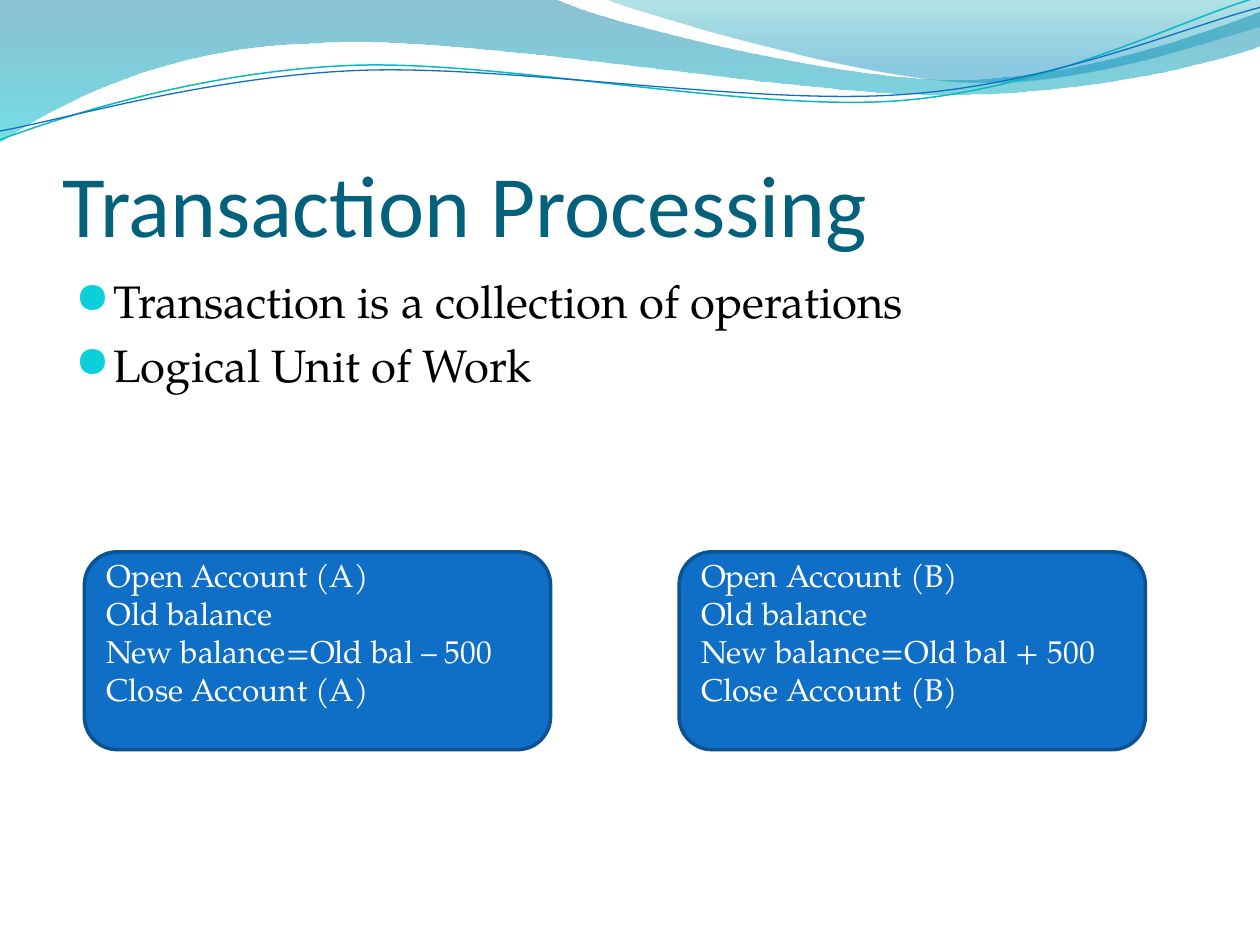
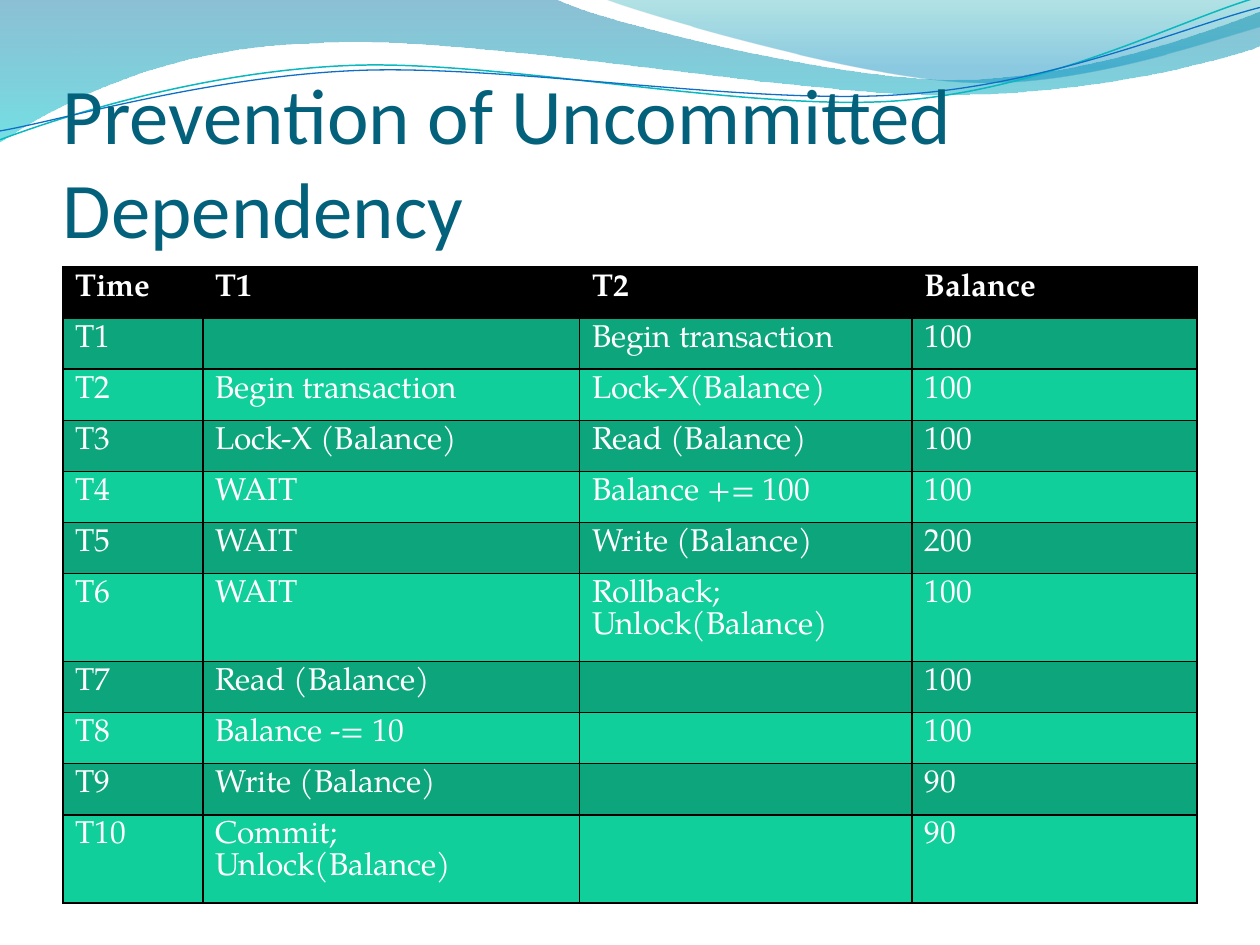
import math

import pptx
import pptx.util
import pptx.dml.color
import pptx.enum.shapes
import pptx.enum.text
import pptx.oxml
import pptx.oxml.ns

Inches = pptx.util.Inches
Pt = pptx.util.Pt
Anchor = pptx.enum.text.MSO_ANCHOR

HUES = {
    "title": "04617B", "text": "000000", "light": "FFFFFF",
    "bullet": "0BD0D9", "box": "0F6FC6", "edge": "0B5292",
    "head": "000000", "odd": "0DA67C", "even": "10CF9B", "grid": "000000",
    "teal": "0AB8BF", "blue": "0F6FC6",
}
HEAD, BODY = "Calibri", "TeX Gyre Pagella"
TILT = -2.7

# Each outline is a list of points (2 numbers) and cubic curves (6 numbers).
BANDS = [
    ([(0, 0), (4.4, -0.01), (4.76, 0.17, 6.64, 0.63, 7.58, 0.63),
      (8.53, 0.63, 9.58, 0.26, 10, 0.09), (10.01, 0.36),
      (9.83, 0.44, 8.7, 0.76, 7.46, 0.75), (6.22, 0.75, 3.82, 0.28, 2.57, 0.34),
      (1.29, 0.36, 0.46, 0.83, -0.01, 1.13), (0, 0)],
     [(0, "0074A1", 45), (1, "00C6CF", 55)]),
    ([(4.79, -0.01), (5.09, 0.11, 6.82, 0.62, 7.69, 0.65),
      (8.56, 0.69, 9.61, 0.32, 10, 0.21), (10, 0), (4.79, -0.01)],
     [(0, "00A1A9", 30), (0.8, "008BBF", 45)]),
]
WAVES = [
    ([(0, 1.11), (0.48, 0.93, 1.58, 0.57, 2.77, 0.52),
      (3.95, 0.47, 5.93, 0.89, 7.13, 0.8), (8.33, 0.71, 9.38, 0.15, 9.98, -0.02)],
     "teal", 0.85),
    ([(0, 1.04), (0.47, 0.96, 1.64, 0.61, 2.83, 0.56),
      (4.03, 0.51, 5.97, 0.84, 7.17, 0.75), (8.36, 0.67, 9.41, 0.21, 10, 0.06)],
     "blue", 0.75),
]

LOCKS = [
    ("Time", "T1", "T2", "Balance"),
    ("T1", "", "Begin transaction", "100"),
    ("T2", "Begin transaction", "Lock-X(Balance)", "100"),
    ("T3", "Lock-X (Balance)", "Read (Balance)", "100"),
    ("T4", "WAIT", "Balance += 100", "100"),
    ("T5", "WAIT", "Write (Balance)", "200"),
    ("T6", "WAIT", "Rollback; Unlock(Balance)", "100"),
    ("T7", "Read (Balance)", "", "100"),
    ("T8", "Balance -= 10", "", "100"),
    ("T9", "Write (Balance)", "", "90"),
    ("T10", "Commit; Unlock(Balance)", "", "90"),
]


def rgb(code):
    return pptx.dml.color.RGBColor.from_string(code)


def make(tag, inner="", **attrs):
    """Return one new DrawingML element."""
    pairs = "".join(f' {k}="{v}"' for k, v in attrs.items())
    space = pptx.oxml.ns.nsdecls("a")
    return pptx.oxml.parse_xml(f"<a:{tag} {space}{pairs}>{inner}</a:{tag}>")


def solid(hue):
    return f'<a:solidFill><a:srgbClr val="{HUES[hue]}"/></a:solidFill>'


def pairs(part):
    return list(zip(part[::2], part[1::2]))


def level(parts):
    """Turn an outline back by TILT about the middle of its ends."""
    (x1, y1), (x2, y2) = parts[0], parts[-1][-2:]
    mx, my = (x1 + x2) / 2, (y1 + y2) / 2
    cos, sin = math.cos(math.radians(-TILT)), math.sin(math.radians(-TILT))
    return [[n for x, y in pairs(part) for n in (
        mx + (x - mx) * cos - (y - my) * sin,
        my + (x - mx) * sin + (y - my) * cos)] for part in parts]


class Deck:
    """Holds the style and the current slide."""

    def __init__(self):
        self.file = pptx.Presentation()
        self.file.slide_width, self.file.slide_height = Inches(10), Inches(7.5)

    def slide(self, title, size):
        """Start a slide with the wave header and its title."""
        self.page = self.file.slides.add_slide(self.file.slide_layouts[6])
        for parts, stops in BANDS:
            self.band(parts, stops)
        for parts, hue, width in WAVES:
            self.wave(parts, hue, width)
        frame = self.text(0.5, 0.77, 9, 1.25)
        frame.vertical_anchor = Anchor.BOTTOM
        frame.margin_left = frame.margin_right = frame.margin_bottom = 0
        self.run(frame.paragraphs[0], title, size, "title", HEAD)

    def outline(self, parts, close):
        """Build a freeform through the end points, then bend its curves."""
        ends = [(Inches(p[-2]), Inches(p[-1])) for p in parts]
        form = self.page.shapes.build_freeform(*ends[0])
        form.add_line_segments(ends[1:], close=close)
        shape = form.convert_to_shape()
        shape.shadow.inherit = False
        lines = list(shape.element.spPr.iter(pptx.oxml.ns.qn("a:lnTo")))
        for line, part in zip(lines, parts[1:]):
            if len(part) == 6:
                dots = "".join(
                    f'<a:pt x="{Inches(x) - shape.left}" y="{Inches(y) - shape.top}"/>'
                    for x, y in pairs(part))
                line.getparent().replace(line, make("cubicBezTo", dots))
        return shape

    def band(self, parts, stops):
        shape = self.outline(parts, True)
        shape.line.fill.background()
        shape.fill.gradient()
        shape.fill.gradient_angle = 270
        for stop, (place, code, alpha) in zip(shape.fill.gradient_stops, stops):
            stop.position = place
            stop.color.rgb = rgb(code)
        marks = shape.element.spPr.iter(pptx.oxml.ns.qn("a:srgbClr"))
        for mark, (place, code, alpha) in zip(marks, stops):
            mark.append(make("alpha", val=alpha * 1000))

    def wave(self, parts, hue, width):
        shape = self.outline(level(parts), False)
        shape.rotation = TILT
        shape.fill.background()
        shape.line.color.rgb = rgb(HUES[hue])
        shape.line.width = Pt(width)

    def text(self, x, y, w, h):
        box = self.page.shapes.add_textbox(Inches(x), Inches(y), Inches(w), Inches(h))
        box.text_frame.word_wrap = True
        return box.text_frame

    def run(self, para, words, size, hue, face=BODY, bold=False):
        run = para.add_run()
        run.text = words
        run.font.size, run.font.name, run.font.bold = Pt(size), face, bold
        run.font.color.rgb = rgb(HUES[hue])

    def lines(self, frame, rows, size, hue):
        """Write one paragraph per row and return the paragraphs."""
        for i, row in enumerate(rows):
            para = frame.add_paragraph() if i else frame.paragraphs[0]
            para.alignment = pptx.enum.text.PP_ALIGN.LEFT
            self.run(para, row, size, hue)
        return frame.paragraphs

    def bullets(self, rows, size=26):
        frame = self.text(0.5, 2.12, 9, 4.8)
        for para in self.lines(frame, rows, size, "text"):
            para.space_before = Pt(size * 0.2)
            props = para._p.get_or_add_pPr()
            props.set("marL", str(Inches(0.3)))
            props.set("indent", str(-Inches(0.3)))
            props.append(make("buClr", f'<a:srgbClr val="{HUES["bullet"]}"/>'))
            props.append(make("buSzPct", val=95000))
            props.append(make("buFont", typeface="OpenSymbol"))
            props.append(make("buChar", char="●"))

    def box(self, x, y, w, h, rows):
        kind = pptx.enum.shapes.MSO_SHAPE.ROUNDED_RECTANGLE
        shape = self.page.shapes.add_shape(kind, Inches(x), Inches(y), Inches(w), Inches(h))
        shape.shadow.inherit = False
        shape.fill.solid()
        shape.fill.fore_color.rgb = rgb(HUES["box"])
        shape.line.color.rgb = rgb(HUES["edge"])
        shape.line.width = Pt(2)
        frame = shape.text_frame
        frame.word_wrap = True
        frame.vertical_anchor = Anchor.MIDDLE
        frame.margin_bottom = Inches(0.35)
        self.lines(frame, rows, 18, "light")

    def table(self, x, y, widths, height, rows):
        frame = self.page.shapes.add_table(
            len(rows), len(widths), Inches(x), Inches(y), Inches(sum(widths)), Inches(height))
        grid = frame.table
        for col, width in zip(grid.columns, widths):
            col.width = Inches(width)
        for r, row in enumerate(rows):
            fill = "head" if r == 0 else "odd" if r % 2 else "even"
            for c, words in enumerate(row):
                self.cell(grid.cell(r, c), words, fill, r == 0)

    def cell(self, cell, words, fill, bold):
        props = cell._tc.get_or_add_tcPr()
        for side in ("lnL", "lnR", "lnT", "lnB"):
            props.append(make(side, solid("grid"), w=Pt(1)))
        cell.fill.solid()
        cell.fill.fore_color.rgb = rgb(HUES[fill])
        if words:
            self.run(cell.text_frame.paragraphs[0], words, 18, "light", bold=bold)


def main():
    deck = Deck()
    deck.slide("Transaction Processing", 50)
    deck.bullets(["Transaction is a collection of operations", "Logical Unit of Work"])
    for i, (name, sign) in enumerate([("A", "–"), ("B", "+")]):
        deck.box(0.67 + i * 4.72, 4.38, 3.7, 1.57, [
            f"Open Account ({name})", "Old balance",
            f"New balance=Old bal {sign} 500", f"Close Account ({name})"])

    deck.slide("Prevention of Uncommitted Dependency", 45)
    deck.table(0.5, 2.12, [1.11, 2.99, 2.64, 2.26], 4.46, LOCKS)
    deck.file.save("out.pptx")


if __name__ == "__main__":
    main()
